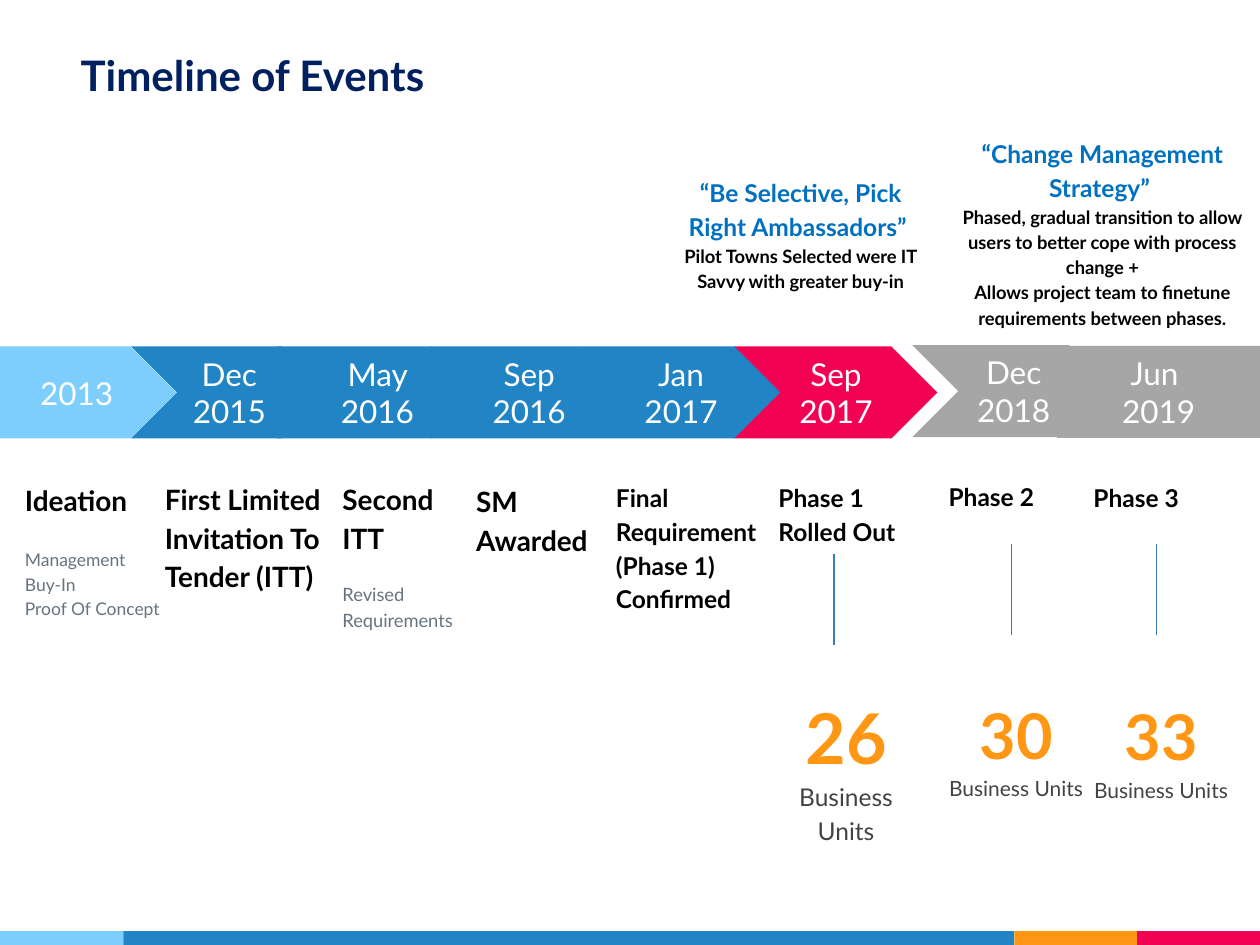
"""Build the timeline of events slide on a grid of 100 columns by 75 rows."""
import pptx
import pptx.dml.color
import pptx.enum.shapes
import pptx.enum.text
import pptx.oxml.ns
import pptx.util
from lxml import etree

RGB = pptx.dml.color.RGBColor
SHAPE = pptx.enum.shapes.MSO_SHAPE
ALIGN = pptx.enum.text.PP_ALIGN
ANCHOR = pptx.enum.text.MSO_ANCHOR

SKY = RGB(0x7E, 0xCE, 0xFD)
BLUE = RGB(0x21, 0x85, 0xC5)
PINK = RGB(0xF2, 0x02, 0x53)
AMBER = RGB(0xFF, 0x97, 0x15)
SILVER = RGB(0xA6, 0xA6, 0xA6)
NAVY = RGB(0x00, 0x20, 0x60)
QUOTE = RGB(0x00, 0x70, 0xC0)
STEEL = RGB(0x36, 0x7E, 0xB9)
SLATE = RGB(0x67, 0x74, 0x80)
COAL = RGB(0x43, 0x43, 0x43)
BLACK = RGB(0, 0, 0)
WHITE = RGB(255, 255, 255)

FONT = "Lato"
COLS, ROWS = 100, 75
CELL = pptx.util.Inches(0.1)
LEAD = 1.15
BAND_TOP, BAND_HIGH = 27.5, 7.3
NOTE_HIGH = 28.6
FOOT_TOP = 73.9


def grid(*cells):
    return [round(cell * CELL) for cell in cells]


def head(text, size):
    return text, size, BLACK, True, ALIGN.LEFT, 0


def small(text, size, gap=0):
    return text, size, SLATE, False, ALIGN.LEFT, gap


def quote(text):
    return text, 14, QUOTE, True, ALIGN.CENTER, 0


def claim(text):
    return text, 10.5, BLACK, True, ALIGN.CENTER, 0


def count(num, size, unit, gap):
    return [(num, size, AMBER, True, ALIGN.CENTER, gap),
            ("Business Units", unit, COAL, False, ALIGN.CENTER, 0)]


def write(frame, paras, lead=LEAD, anchor=ANCHOR.TOP):
    frame.word_wrap = True
    frame.auto_size = pptx.enum.text.MSO_AUTO_SIZE.NONE
    frame.vertical_anchor = anchor
    frame.margin_left = frame.margin_right = CELL
    frame.margin_top = frame.margin_bottom = CELL
    for num, (text, size, color, bold, align, gap) in enumerate(paras):
        para = frame.add_paragraph() if num else frame.paragraphs[0]
        para.alignment = align
        para.line_spacing = lead
        para.space_before = pptx.util.Pt(gap)
        run = para.add_run()
        run.text = text
        run.font.name = FONT
        run.font.size = pptx.util.Pt(size)
        run.font.bold = bold
        run.font.color.rgb = color


def block(slide, kind, area, fill):
    shape = slide.shapes.add_shape(kind, *grid(*area))
    shape.shadow.inherit = False
    shape.fill.solid()
    shape.fill.fore_color.rgb = fill
    shape.line.fill.background()
    return shape


def step(slide, left, wide, fill, lines, kind=SHAPE.CHEVRON, point=0.5, top=BAND_TOP):
    shape = block(slide, kind, (left, top, wide, BAND_HIGH), fill)
    shape.adjustments[0] = point
    paras = [(line, 18, WHITE, False, ALIGN.CENTER, 0) for line in lines]
    write(shape.text_frame, paras, 1.0, ANCHOR.MIDDLE)


def note(slide, area, paras):
    box = slide.shapes.add_textbox(*grid(*area))
    write(box.text_frame, paras)


def stem(slide, col, top):
    line = slide.shapes.add_connector(
        pptx.enum.shapes.MSO_CONNECTOR.STRAIGHT, *grid(col, top, col, top + 7.2))
    line.line.color.rgb = STEEL
    line.line.width = pptx.util.Pt(0.75)
    etree.SubElement(line._element.spPr, pptx.oxml.ns.qn("a:effectLst"))


def title(slide, text):
    shape = slide.shapes.title
    shape.left, shape.top, shape.width, shape.height = grid(5.4, 1, 70.7, 7.9)
    write(shape.text_frame, [(text, 24, NAVY, True, ALIGN.LEFT, 0)], 1.0, ANCHOR.BOTTOM)


def footer(slide):
    left = 0
    for wide, fill in ((9.8, SKY), (70.7, BLUE), (9.75, AMBER), (9.75, PINK)):
        block(slide, SHAPE.RECTANGLE, (left, FOOT_TOP, wide, ROWS - FOOT_TOP), fill)
        left += wide


def band(slide):
    step(slide, 0, 14, SKY, ["2013"], SHAPE.PENTAGON)
    for left, wide, fill, date in (
            (10.4, 15.6, BLUE, "Dec 2015"), (22, 15.9, BLUE, "May 2016"),
            (34.2, 15.6, BLUE, "Sep 2016"), (46.1, 15.9, BLUE, "Jan 2017"),
            (58.3, 16.1, PINK, "Sep 2017")):
        step(slide, left, wide, fill, [date])
    step(slide, 72.4, 16.1, SILVER, ["Dec 2018"], top=27.4)
    step(slide, 83.9, 16.1, SILVER, ["Jun ", "2019"], point=0, top=27.45)


def notes(slide):
    for left, top, wide, paras in (
            (1, 37, 13, [head("Ideation", 16), small("Management", 10, 16.5),
                         small("Buy-In", 10), small("Proof Of Concept", 10)]),
            (12.1, 36.9, 15.1, [head("First Limited Invitation To Tender (ITT)", 16)]),
            (26.2, 36.9, 12.6, [head("Second ITT", 16),
                                small("Revised Requirements", 10.5, 14.5)]),
            (36.8, 37.1, 11.2, [head("SM Awarded", 16)]),
            (47.9, 37, 14, [head("Final Requirement (Phase 1) Confirmed", 14)]),
            (60.8, 37, 12.7, [head("Phase 1 Rolled Out", 14),
                              *count("26", 40, 14, 77.3)]),
            (74.3, 36.9, 12.7, [head("Phase 2", 14), *count("30", 36, 12, 99.4)]),
            (85.8, 37, 12.7, [head("Phase 3", 14), *count("33", 36, 12, 99.4)])):
        note(slide, (left, top, wide, NOTE_HIGH), paras)


def main():
    deck = pptx.Presentation()
    deck.slide_width, deck.slide_height = grid(COLS, ROWS)
    slide = deck.slides.add_slide(deck.slide_layouts[5])
    footer(slide)
    title(slide, "Timeline of Events")
    band(slide)
    notes(slide)
    for col, top in ((66.2, 44), (80.3, 43.2), (91.8, 43.2)):
        stem(slide, col, top)
    note(slide, (53.3, 12.8, 20.5, 10), [
        quote("“Be Selective, Pick Right Ambassadors” "),
        claim("Pilot Towns Selected were IT Savvy with greater buy-in")])
    note(slide, (75, 9.7, 25, 9.5), [
        quote("“Change Management Strategy” "),
        claim("Phased, gradual transition to allow users to better cope "
              "with process change +"),
        claim("Allows project team to finetune requirements between phases.")])
    deck.save("out.pptx")


if __name__ == "__main__":
    main()
